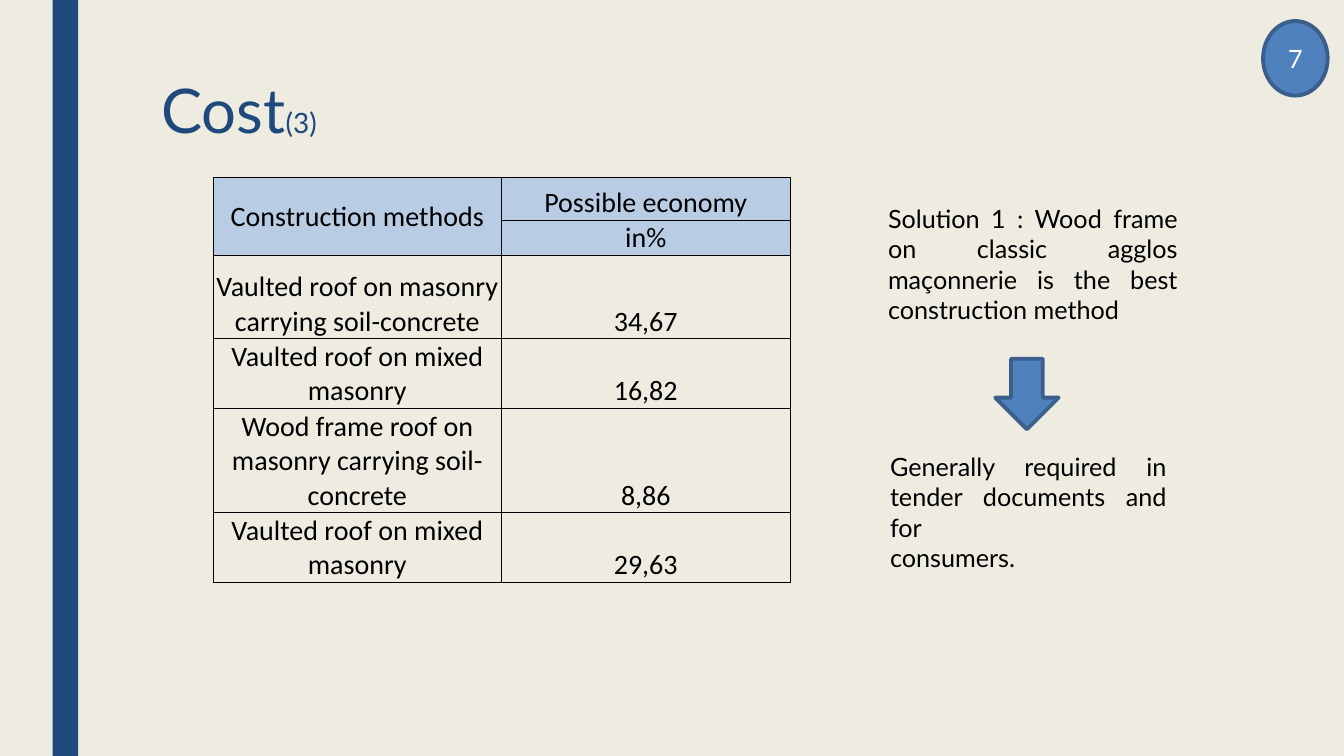
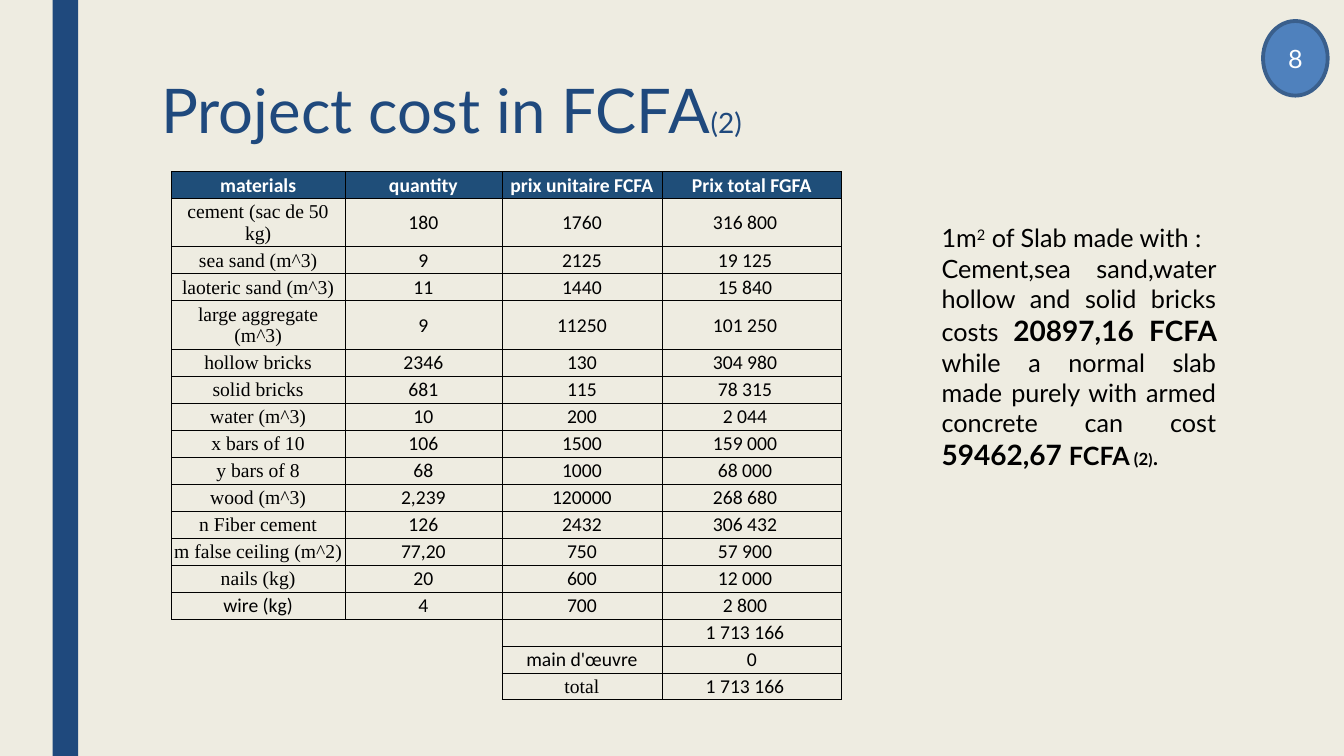
from typing import NamedTuple, Optional

from lxml.etree import SubElement
from pptx import Presentation
from pptx.dml.color import RGBColor
from pptx.enum.shapes import MSO_SHAPE as SHAPE
from pptx.enum.text import MSO_ANCHOR as ANCHOR, MSO_AUTO_SIZE as AUTO, PP_ALIGN as ALIGN
from pptx.oxml.ns import qn
from pptx.util import Cm, Pt

CREAM = RGBColor(0xEE, 0xEC, 0xE1)
NAVY = RGBColor(0x1F, 0x49, 0x7D)
BLUE = RGBColor(0x4F, 0x81, 0xBD)
OUTLINE = RGBColor(0x3A, 0x5F, 0x8C)
PALE = RGBColor(0xB8, 0xCC, 0xE4)
PETROL = RGBColor(0x1F, 0x4E, 0x79)
BLACK = RGBColor(0, 0, 0)
WHITE = RGBColor(0xFF, 0xFF, 0xFF)

HEAD, BODY, SERIF = "Lato", "Calibri", "Times New Roman"
NO_STYLE = "{2D5ABB26-0587-4C30-8999-92F81FD0307C}"
WIDTH, HEIGHT = 33.87, 19.05
CELL_INSET, AMOUNT_INSET = 0.03, 0.37


class Row(NamedTuple):
    """A cost row: its cells, its serif column and the right inset of its amount."""
    cells: list
    serif_col: Optional[int] = 0
    inset: float = AMOUNT_INSET


ECONOMY = [
    ["Construction methods", "Possible economy"],
    ["", "in%"],
    ["Vaulted roof on masonry carrying soil-concrete", "34,67"],
    ["Vaulted roof on mixed masonry", "16,82"],
    ["Wood frame roof on masonry carrying soil-concrete", "8,86"],
    ["Vaulted roof on mixed masonry", "29,63"],
]
MATERIALS_HEAD = ["materials", "quantity", "prix unitaire FCFA", "Prix total FGFA"]
# None marks a cell without borders
MATERIALS = [
    Row(["cement (sac de 50 kg)", "180", "1760", "316 800"]),
    Row(["sea sand (m^3)", "9", "2125", "19 125"]),
    Row(["laoteric sand (m^3)", "11", "1440", "15 840"]),
    Row(["large aggregate (m^3)", "9", "11250", "101 250"]),
    Row(["hollow bricks", "2346", "130", "304 980"]),
    Row(["solid bricks", "681", "115", "78 315"]),
    Row(["water (m^3)", "10", "200", "2 044"]),
    Row(["x bars of 10", "106", "1500", "159 000"]),
    Row(["y bars of 8", "68", "1000", "68 000"]),
    Row(["wood (m^3)", "2,239", "120000", "268 680"]),
    Row(["n Fiber cement", "126", "2432", "306 432"]),
    Row(["m false ceiling (m^2)", "77,20", "750", "57 900"]),
    Row(["nails (kg)", "20", "600", "12 000"]),
    Row(["wire (kg)", "4", "700", "2 800"], serif_col=None),
    Row([None, None, "", "1 713 166"]),
    Row([None, None, "main d'œuvre", "0"], inset=CELL_INSET),
    Row([None, None, "total", "1 713 166"], serif_col=2),
]


def style(r, size, color=BLACK, font=HEAD, bold=False):
    r.font.size, r.font.name, r.font.bold = Pt(size), font, bold
    r.font.color.rgb = color


def add_runs(p, runs, color=BLACK):
    """Add (text, size, bold) runs to a paragraph."""
    for text, size, bold in runs:
        r = p.add_run()
        r.text = text
        style(r, size, color, bold=bold)


def add_shape(slide, kind, box, fill, outline=None):
    sp = slide.shapes.add_shape(kind, *map(Cm, box))
    sp.shadow.inherit = False
    sp.fill.solid()
    sp.fill.fore_color.rgb = fill
    if outline is None:
        sp.line.fill.background()
    else:
        sp.line.color.rgb = outline
        sp.line.width = Pt(2.75)
    return sp


def add_note(slide, box, paragraphs):
    tf = slide.shapes.add_textbox(*map(Cm, box)).text_frame
    tf.word_wrap = True
    for i, runs in enumerate(paragraphs):
        p = tf.add_paragraph() if i else tf.paragraphs[0]
        p.alignment = ALIGN.JUSTIFY
        add_runs(p, runs)
    return tf


# Tables
def add_borders(cell):
    tcPr = cell._tc.get_or_add_tcPr()
    for side in ("a:lnL", "a:lnR", "a:lnT", "a:lnB"):
        ln = SubElement(tcPr, qn(side), w=str(Pt(0.5)))
        fill = SubElement(ln, qn("a:solidFill"))
        SubElement(fill, qn("a:srgbClr"), val=str(BLACK))


def fill_cell(cell, text, size, font=BODY, color=BLACK, bold=False, fill=None,
              anchor=ANCHOR.MIDDLE):
    if text is not None:
        add_borders(cell)
    if fill is None:
        cell.fill.background()
    else:
        cell.fill.solid()
        cell.fill.fore_color.rgb = fill
    cell.margin_left = cell.margin_right = cell.margin_top = Cm(CELL_INSET)
    cell.margin_bottom = 0
    cell.vertical_anchor = anchor
    p = cell.text_frame.paragraphs[0]
    p.alignment = ALIGN.CENTER
    if text:
        p.text = text
        style(p.runs[0], size, color, font, bold)
    else:
        p._p.get_or_add_endParaRPr().set("sz", str(size * 100))


def new_table(slide, left, top, widths, heights):
    frame = slide.shapes.add_table(len(heights), len(widths), Cm(left), Cm(top),
                                   Cm(sum(widths)), Cm(sum(heights)))
    t = frame.table
    t._tbl.tblPr.find(qn("a:tableStyleId")).text = NO_STYLE
    t.first_row = t.horz_banding = False
    for col, w in zip(t.columns, widths):
        col.width = Cm(w)
    for row, h in zip(t.rows, heights):
        row.height = Cm(h)
    return t


def economy_table(slide, left, top):
    t = new_table(slide, left, top, [7.27] * 2, [1.07, 0.58, 2.1, 1.6, 2.62, 1.6])
    for i, row in enumerate(ECONOMY):
        for j, text in enumerate(row):
            fill_cell(t.cell(i, j), text, 20, fill=PALE if i < 2 else None,
                      anchor=ANCHOR.BOTTOM)
    t.cell(0, 0).merge(t.cell(1, 0))
    t.cell(0, 0).vertical_anchor = ANCHOR.MIDDLE


def materials_table(slide, left, top):
    t = new_table(slide, left, top, [4.37, 3.96, 4.03, 4.53],
                  [0.68] * (len(MATERIALS) + 1))
    for j, text in enumerate(MATERIALS_HEAD):
        fill_cell(t.cell(0, j), text, 14, color=WHITE, bold=True, fill=PETROL)
    for i, row in enumerate(MATERIALS, 1):
        for j, text in enumerate(row.cells):
            fill_cell(t.cell(i, j), text, 14, SERIF if j == row.serif_col else BODY)
        t.cell(i, 3).margin_right = Cm(row.inset)


# Right-hand columns
def solution_column(slide, left, top):
    add_note(slide, (left, top, 7.8, 3.33), [
        [("Solution 1 : Wood frame on classic agglos maçonnerie is the best "
          "construction method", 18, False)]])
    add_shape(slide, SHAPE.DOWN_ARROW, (left + 2.95, top + 4.04, 1.6, 1.78), BLUE, OUTLINE)
    add_note(slide, (left + 0.05, top + 6.25, 7.47, 2.57), [
        [("Generally required in tender documents and for", 18, False)],
        [("consumers.", 18, False)]])


def slab_column(slide, left, top):
    tf = add_note(slide, (left, top, 7.42, 6.68), [
        [("1m", 18, False), ("2", 18, False), (" of Slab made with :", 18, False)],
        [("Cement,sea sand,water hollow and solid bricks costs ", 18, False),
         ("20897,16 FCFA ", 20, True),
         ("while a normal slab made purely with armed concrete can cost ", 18, False),
         ("59462,67 ", 20, True), ("FCFA", 18, True), (" (2", 12, True),
         (")", 11, True), (".", 18, False)]])
    # Superscript of the square metre
    tf.paragraphs[0].runs[1].font._element.set("baseline", "30000")


# Shared frame of all slides
def set_up_master(prs, slide):
    master = prs.slide_master
    master.background.fill.solid()
    master.background.fill.fore_color.rgb = CREAM
    band = add_shape(slide, SHAPE.RECTANGLE, (1.33, 0, 0.64, HEIGHT), NAVY)
    master.shapes._spTree.insert(2, band._element)


def new_slide(prs, number, title, reference):
    slide = prs.slides.add_slide(prs.slide_layouts[5])
    sp = slide.shapes.title
    sp.left, sp.top, sp.width, sp.height = map(Cm, (3.81, 1.9, 26.67, 4.1))
    tf = sp.text_frame
    tf.auto_size = AUTO.NONE
    tf.vertical_anchor = ANCHOR.TOP
    p = tf.paragraphs[0]
    p.alignment = ALIGN.LEFT
    p.line_spacing = 0.89
    add_runs(p, [(title, 44, False), (reference, 20, False)], NAVY)

    # Page number badge
    badge = add_shape(slide, SHAPE.OVAL, (31.83, 0.53, 1.63, 1.88), BLUE, OUTLINE)
    tf = badge.text_frame
    tf.text = str(number)
    tf.vertical_anchor = ANCHOR.MIDDLE
    tf.paragraphs[0].alignment = ALIGN.CENTER
    style(tf.paragraphs[0].runs[0], 18, WHITE)
    return slide


def main():
    prs = Presentation()
    prs.slide_width, prs.slide_height = Cm(WIDTH), Cm(HEIGHT)

    slide = new_slide(prs, 7, "Cost", "(3)")
    set_up_master(prs, slide)
    economy_table(slide, 5.37, 4.47)
    solution_column(slide, 22.13, 5)

    slide = new_slide(prs, 8, "Project cost in FCFA", "(2)")
    slab_column(slide, 23.48, 5.49)
    materials_table(slide, 4.32, 4.32)

    prs.save("out.pptx")


if __name__ == "__main__":
    main()
